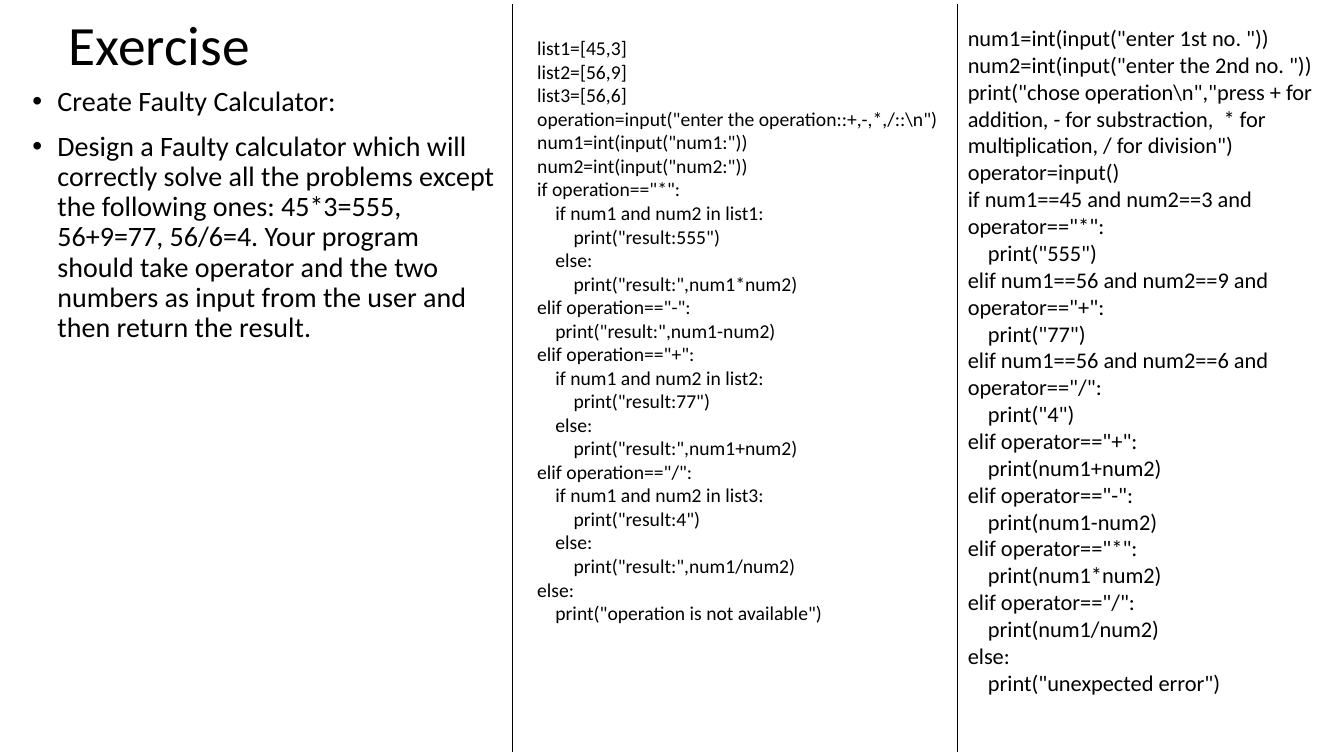
import pptx
import pptx.dml.color
import pptx.enum.shapes
import pptx.enum.text
import pptx.oxml.ns
import pptx.util
from pptx.util import Inches
from lxml import etree

FONT = "Calibri"
BLACK = "000000"
TASK = [
    "Create Faulty Calculator:",
    "Design a Faulty calculator which will correctly solve all the problems except "
    "the following ones: 45*3=555, 56+9=77, 56/6=4. Your program should take operator "
    "and the two numbers as input from the user and then return the result.",
]
LIST_SOLUTION = r"""list1=[45,3]
list2=[56,9]
list3=[56,6]
operation=input("enter the operation::+,-,*,/::\n")
num1=int(input("num1:"))
num2=int(input("num2:"))
if operation=="*":
    if num1 and num2 in list1:
        print("result:555")
    else:
        print("result:",num1*num2)
elif operation=="-":
    print("result:",num1-num2)
elif operation=="+":
    if num1 and num2 in list2:
        print("result:77")
    else:
        print("result:",num1+num2)
elif operation=="/":
    if num1 and num2 in list3:
        print("result:4")
    else:
        print("result:",num1/num2)
else:
    print("operation is not available")"""
CONDITION_SOLUTION = r"""num1=int(input("enter 1st no. "))
num2=int(input("enter the 2nd no. "))
print("chose operation\n","press + for addition, - for substraction,  * for multiplication, / for division")
operator=input()
if num1==45 and num2==3 and operator=="*":
    print("555")
elif num1==56 and num2==9 and operator=="+":
    print("77")
elif num1==56 and num2==6 and operator=="/":
    print("4")
elif operator=="+":
    print(num1+num2)
elif operator=="-":
    print(num1-num2)
elif operator=="*":
    print(num1*num2)
elif operator=="/":
    print(num1/num2)
else:
    print("unexpected error")"""


def color(hex_value):
    return pptx.dml.color.RGBColor.from_string(hex_value)


def add_effectless(properties):
    etree.SubElement(properties, pptx.oxml.ns.qn("a:effectLst"))


def write_line(paragraph, text, *, size, spacing=1.0, before=0, margin=0, bullet=None):
    paragraph.alignment = pptx.enum.text.PP_ALIGN.LEFT
    paragraph.line_spacing = spacing
    paragraph.space_before = pptx.util.Pt(before)
    run = paragraph.add_run()
    run.text = text
    run.font.name = FONT
    run.font.size = pptx.util.Pt(size)
    run.font.color.rgb = color(BLACK)
    properties = paragraph._p.get_or_add_pPr()
    properties.set("marL", str(Inches(margin)))
    properties.set("indent", str(Inches(-margin if bullet else 0)))
    if bullet:
        mark = etree.SubElement(properties, pptx.oxml.ns.qn("a:buChar"))
        mark.set("char", bullet)


def next_paragraph(frame, index):
    return frame.add_paragraph() if index else frame.paragraphs[0]


def place(holder, left, top, width, height):
    holder.left, holder.top = Inches(left), Inches(top)
    holder.width, holder.height = Inches(width), Inches(height)
    holder.text_frame.auto_size = pptx.enum.text.MSO_AUTO_SIZE.NONE


def fill_title(title, text):
    place(title, 0.58, 0.25, 11.5, 0.44)
    title.text_frame.vertical_anchor = pptx.enum.text.MSO_ANCHOR.MIDDLE
    write_line(title.text_frame.paragraphs[0], text, size=39.6, spacing=0.9)


def fill_task(body, items):
    place(body, 0.22, 0.82, 4.86, 3.15)
    for index, item in enumerate(items):
        write_line(next_paragraph(body.text_frame, index), item, size=20,
                   spacing=0.9, before=10, margin=0.25, bullet="•")


def add_code(slide, code, left, top, width, height, *, size, indent):
    frame = slide.shapes.add_textbox(
        Inches(left), Inches(top), Inches(width), Inches(height)).text_frame
    frame.word_wrap = True
    frame.auto_size = pptx.enum.text.MSO_AUTO_SIZE.SHAPE_TO_FIT_TEXT
    for index, line in enumerate(code.splitlines()):
        statement = line.lstrip()
        level = (len(line) - len(statement)) // 4
        write_line(next_paragraph(frame, index), statement, size=size, margin=level * indent)


def add_divider(slide, x):
    divider = slide.shapes.add_connector(
        pptx.enum.shapes.MSO_CONNECTOR.STRAIGHT,
        Inches(x), Inches(0.04), Inches(x), Inches(7.46))
    divider.line.color.rgb = color(BLACK)
    divider.line.width = pptx.util.Pt(0.5)
    add_effectless(divider._element.spPr)


def main():
    deck = pptx.Presentation()
    deck.slide_width, deck.slide_height = Inches(13.33), Inches(7.5)
    slide = deck.slides.add_slide(deck.slide_layouts[1])
    fill_title(slide.shapes.title, "Exercise")
    fill_task(slide.placeholders[1], TASK)
    add_code(slide, LIST_SOLUTION, 5.23, 0.31, 4.35, 5.99, size=14, indent=0.18)
    add_code(slide, CONDITION_SOLUTION, 9.5, 0.19, 4.01, 6.83, size=16, indent=0.2)
    for x in (9.5, 5.08):
        add_divider(slide, x)
    deck.save("out.pptx")


if __name__ == "__main__":
    main()
